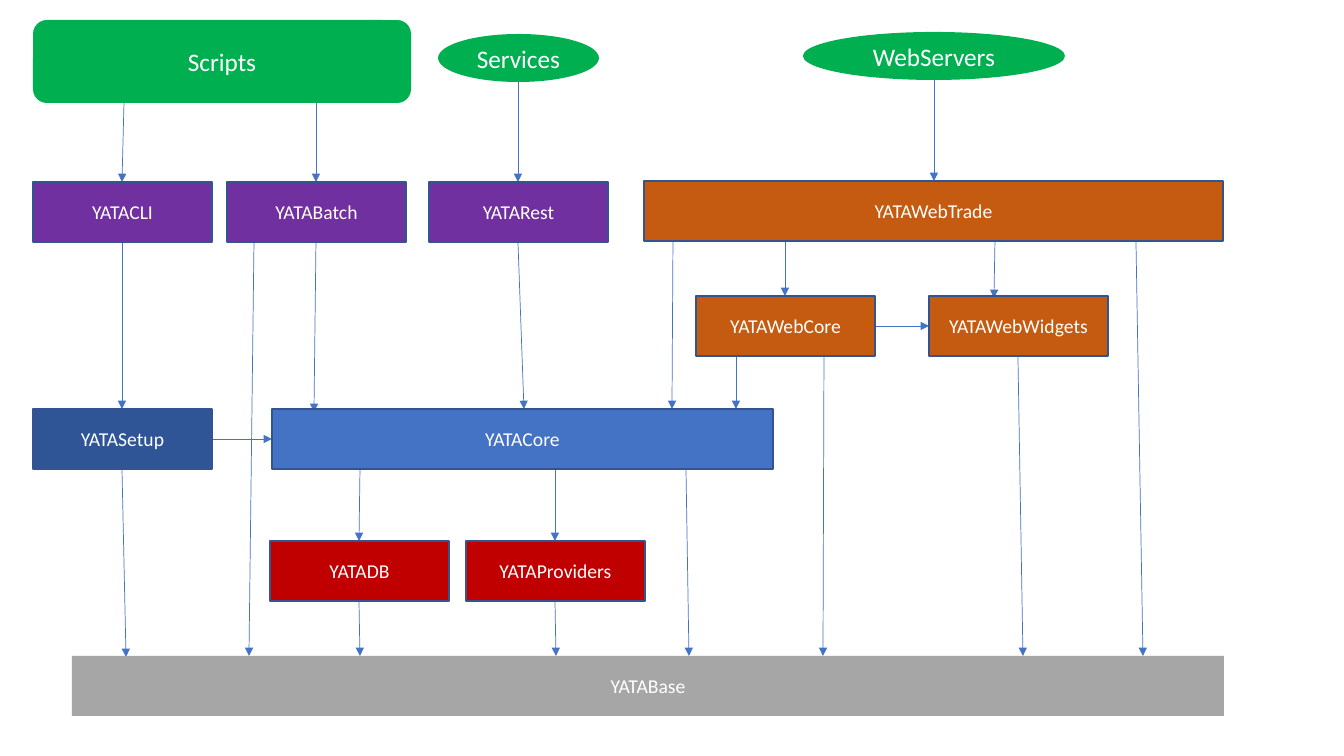
from typing import NamedTuple, Optional

from lxml import etree
from pptx import Presentation
from pptx import util as u
from pptx.dml.color import RGBColor
from pptx.enum import shapes, text
from pptx.oxml import ns

# Slide measures in pixels
SLIDE_WIDTH, SLIDE_HEIGHT = 1344, 756
SCALE = 12192000 / SLIDE_WIDTH
MODULE_WIDTH, MODULE_HEIGHT = 179, 60

# Top edge of each layer
APP_TOP, WEB_TOP, CORE_TOP, DATA_TOP, BASE_TOP = 182, 296, 409, 541, 656
TRADE_TOP = 181
APP_BOTTOM, WEB_BOTTOM, CORE_BOTTOM, DATA_BOTTOM = (
    top + MODULE_HEIGHT for top in (APP_TOP, WEB_TOP, CORE_TOP, DATA_TOP))
TRADE_BOTTOM = TRADE_TOP + MODULE_HEIGHT
SCRIPTS_BOTTOM = 103

WHITE = RGBColor(0xFF, 0xFF, 0xFF)
GREEN = RGBColor(0x00, 0xB0, 0x50)
PURPLE = RGBColor(0x70, 0x30, 0xA0)
ORANGE = RGBColor(0xC5, 0x5A, 0x11)
NAVY = RGBColor(0x2F, 0x55, 0x97)
BLUE = RGBColor(0x44, 0x72, 0xC4)
RED = RGBColor(0xC0, 0x00, 0x00)
GREY = RGBColor(0xA6, 0xA6, 0xA6)
OUTLINE = RGBColor(0x32, 0x54, 0x91)

RECTANGLE = shapes.MSO_SHAPE.RECTANGLE
OVAL = shapes.MSO_SHAPE.OVAL
ROUNDED = shapes.MSO_SHAPE.ROUNDED_RECTANGLE


class Box(NamedTuple):
    label: str
    left: int
    top: int
    fill: RGBColor
    width: int = MODULE_WIDTH
    height: int = MODULE_HEIGHT
    preset: shapes.MSO_SHAPE = RECTANGLE
    outline: Optional[RGBColor] = OUTLINE
    font_size: int = 14


class Arrow(NamedTuple):
    start_x: int
    start_y: int
    end_x: int
    end_y: int


BOXES = [
    # Entry points
    Box("Scripts", 33, 20, GREEN, 378, 83, ROUNDED, None, 18),
    Box("Services", 438, 34, GREEN, 161, 48, OVAL, None, 18),
    Box("WebServers", 803, 32, GREEN, 262, 48, OVAL, None, 18),
    # Applications
    Box("YATACLI", 33, APP_TOP, PURPLE),
    Box("YATABatch", 227, APP_TOP, PURPLE),
    Box("YATARest", 429, APP_TOP, PURPLE),
    Box("YATAWebTrade", 644, TRADE_TOP, ORANGE, 579),
    # Web modules
    Box("YATAWebCore", 696, WEB_TOP, ORANGE),
    Box("YATAWebWidgets", 929, WEB_TOP, ORANGE),
    # Core, data and base
    Box("YATASetup", 33, CORE_TOP, NAVY),
    Box("YATACore", 272, CORE_TOP, BLUE, 501),
    Box("YATADB", 270, DATA_TOP, RED),
    Box("YATAProviders", 466, DATA_TOP, RED),
    Box("YATABase", 72, BASE_TOP, GREY, 1152, outline=None),
]

ARROWS = [
    # Entry points to applications
    Arrow(124, SCRIPTS_BOTTOM, 122, APP_TOP),
    Arrow(316, SCRIPTS_BOTTOM, 316, APP_TOP),
    Arrow(518, 82, 518, APP_TOP),
    Arrow(934, 80, 934, TRADE_TOP),
    # Applications to lower layers
    Arrow(122, APP_BOTTOM, 122, CORE_TOP),
    Arrow(254, APP_BOTTOM, 249, BASE_TOP),
    Arrow(316, APP_BOTTOM, 314, CORE_TOP + 3),
    Arrow(518, APP_BOTTOM, 524, CORE_TOP),
    Arrow(673, TRADE_BOTTOM, 672, CORE_TOP),
    Arrow(785, TRADE_BOTTOM, 785, WEB_TOP),
    Arrow(995, TRADE_BOTTOM, 994, WEB_TOP + 2),
    Arrow(1136, TRADE_BOTTOM, 1143, BASE_TOP),
    # Web modules
    Arrow(875, 326, 929, 326),
    Arrow(736, WEB_BOTTOM, 736, CORE_TOP),
    Arrow(824, WEB_BOTTOM, 823, BASE_TOP),
    Arrow(1018, WEB_BOTTOM, 1023, BASE_TOP),
    # Setup and core
    Arrow(212, 439, 272, 439),
    Arrow(122, CORE_BOTTOM, 126, BASE_TOP + 1),
    Arrow(360, CORE_BOTTOM, 359, DATA_TOP),
    Arrow(555, CORE_BOTTOM, 555, DATA_TOP),
    Arrow(686, CORE_BOTTOM, 689, BASE_TOP),
    # Data modules to base
    Arrow(359, DATA_BOTTOM, 360, BASE_TOP),
    Arrow(555, DATA_BOTTOM, 556, BASE_TOP),
]


def px(pixels: int) -> u.Emu:
    return u.Emu(round(pixels * SCALE))


def draw_arrow(slide, arrow: Arrow) -> None:
    connector = slide.shapes.add_connector(
        shapes.MSO_CONNECTOR.STRAIGHT, *map(px, arrow))
    connector.line.color.rgb = BLUE
    connector.line.width = u.Pt(0.5)
    line = connector.line._get_or_add_ln()
    etree.SubElement(line, ns.qn("a:tailEnd"), type="triangle")
    etree.SubElement(connector._element.spPr, ns.qn("a:effectLst"))


def draw_box(slide, box: Box) -> None:
    shape = slide.shapes.add_shape(
        box.preset, px(box.left), px(box.top), px(box.width), px(box.height))
    shape.shadow.inherit = False
    shape.fill.solid()
    shape.fill.fore_color.rgb = box.fill
    if box.outline is None:
        shape.line.fill.background()
    else:
        shape.line.color.rgb = box.outline
        shape.line.width = u.Pt(1)
    frame = shape.text_frame
    frame.word_wrap = True
    frame.vertical_anchor = text.MSO_ANCHOR.MIDDLE
    paragraph = frame.paragraphs[0]
    paragraph.text = box.label
    paragraph.alignment = text.PP_ALIGN.CENTER
    paragraph.font.name = "Calibri"
    paragraph.font.size = u.Pt(box.font_size)
    paragraph.font.color.rgb = WHITE


presentation = Presentation()
presentation.slide_width = px(SLIDE_WIDTH)
presentation.slide_height = px(SLIDE_HEIGHT)
slide = presentation.slides.add_slide(presentation.slide_layouts[6])

# Arrows lie behind the boxes
for arrow in ARROWS:
    draw_arrow(slide, arrow)
for box in BOXES:
    draw_box(slide, box)

presentation.save("out.pptx")
